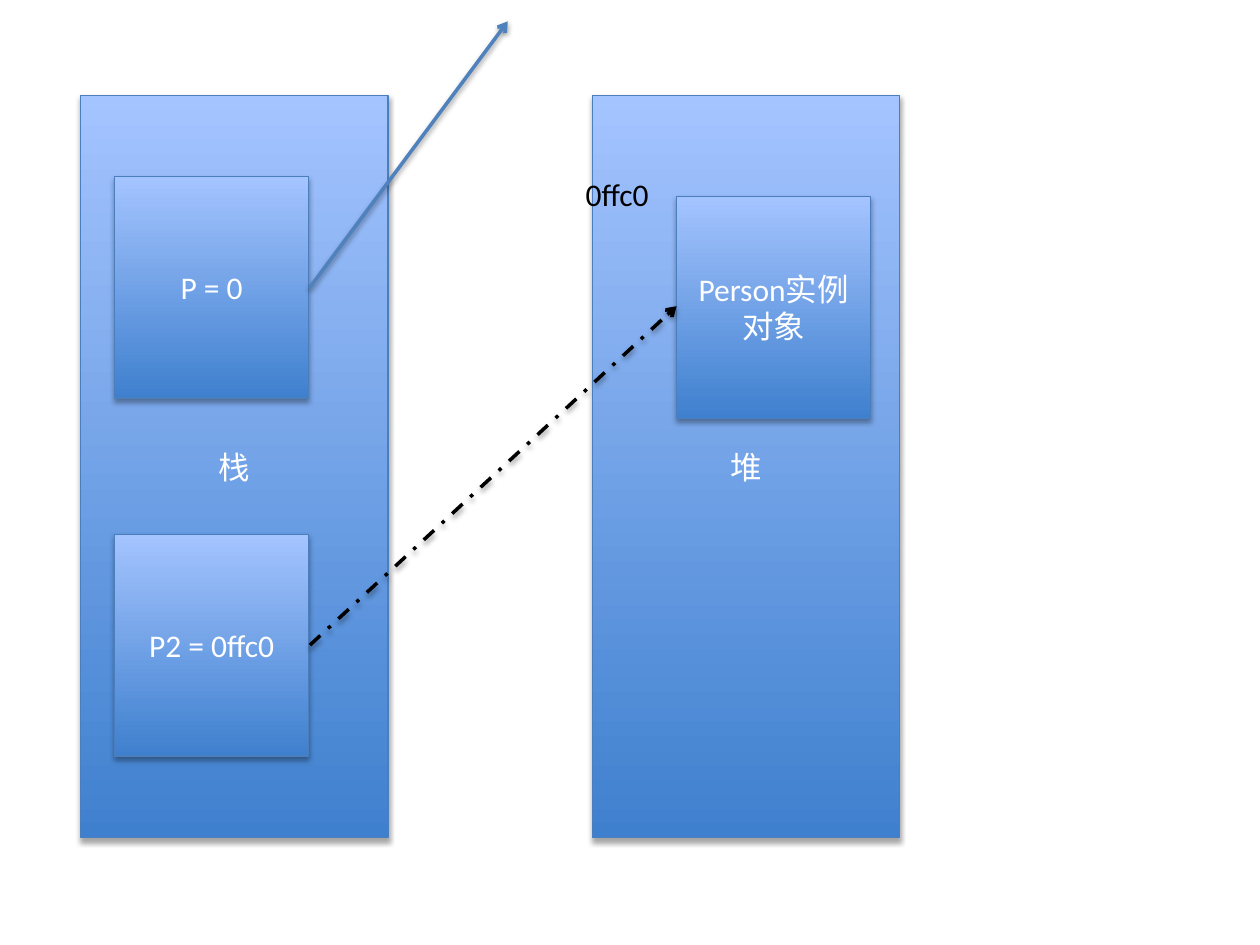
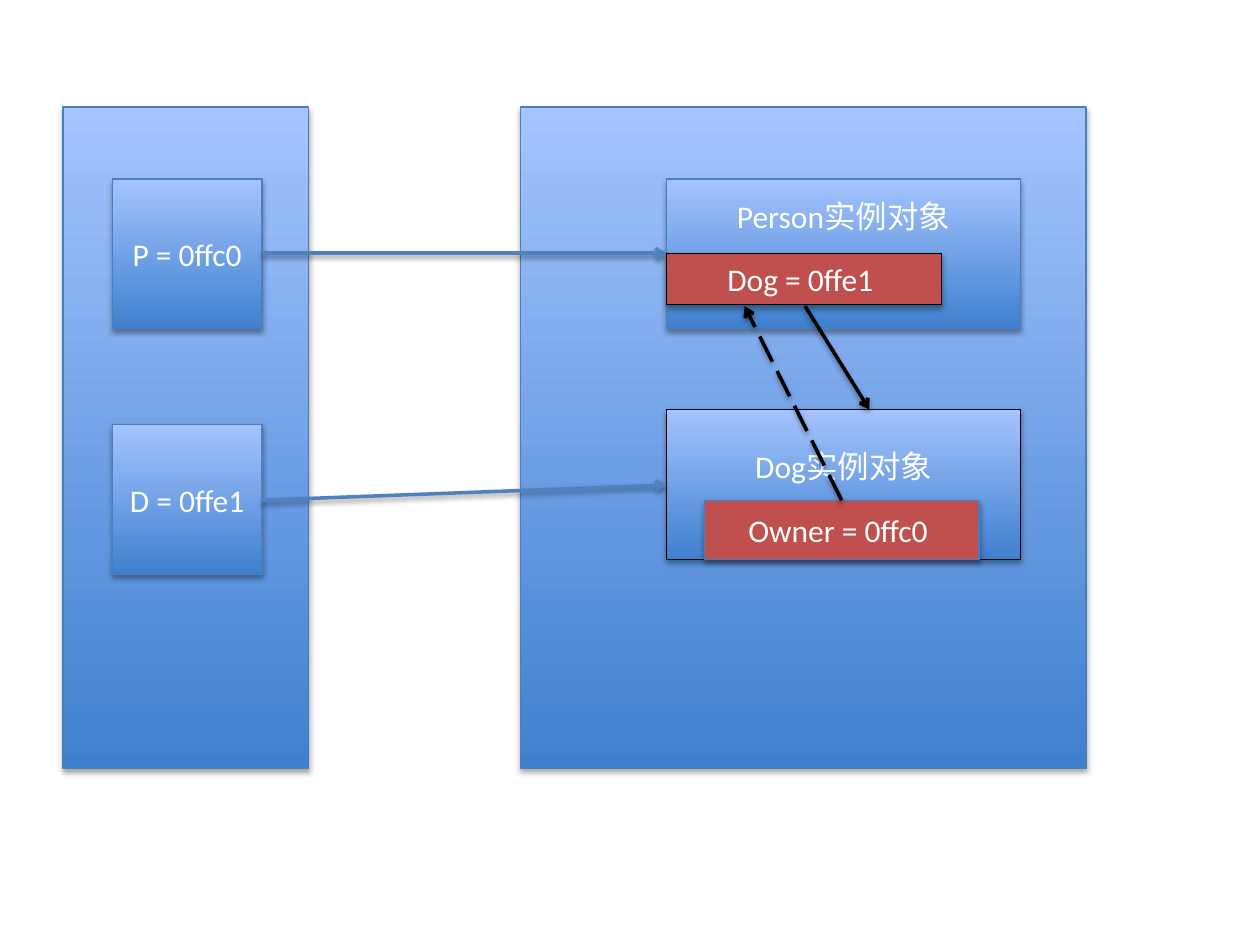
from lxml import etree
from pptx import Presentation
from pptx import util as u
from pptx.dml.color import RGBColor
from pptx.enum import dml, shapes, text
from pptx.oxml import ns

WHITE = RGBColor(0xFF, 0xFF, 0xFF)
BLACK = RGBColor(0, 0, 0)
DEEP = RGBColor(0x3F, 0x80, 0xCE)
PALE = RGBColor(0xA4, 0xC4, 0xFF)
EDGE = RGBColor(0x4B, 0x7E, 0xBC)
BLUE = RGBColor(0x4F, 0x81, 0xBD)
RED = RGBColor(0xC0, 0x50, 0x4D)
FONT = {"name": "Calibri", "size": u.Pt(18)}


def put(obj, vals):
    """Set each attribute in vals on obj."""
    for key, val in vals.items():
        setattr(obj, key, val)


def sub(node, tag, **vals):
    """Append a DrawingML child to node."""
    return etree.SubElement(node, ns.qn("a:" + tag), vals)


def shade(item, alpha, dist):
    """Give item a soft shadow that falls straight down."""
    props = item._element.spPr
    effect = props.find(ns.qn("a:effectLst"))
    if effect is None:
        effect = sub(props, "effectLst")
    drop = sub(effect, "outerShdw", blurRad=str(u.Pt(3.1)), dist=str(u.Pt(dist)),
               dir="5400000", rotWithShape="0")
    color = sub(drop, "srgbClr", val=str(BLACK))
    sub(color, "alpha", val=str(alpha * 1000))


def write(frame, words, color):
    """Write one run of text in the shared font."""
    run = frame.paragraphs[0].add_run()
    run.text = words
    put(run.font, FONT)
    run.font.color.rgb = color


def box(slide, area, words="", fill=None, edge=EDGE, foot=0.05):
    """Draw a block, with a gradient unless a fill is given."""
    block = slide.shapes.add_shape(shapes.MSO_SHAPE.RECTANGLE, *map(u.Inches, area))
    block.shadow.inherit = False
    if fill is None:
        block.fill.gradient()
        block.fill.gradient_angle = 90
        for stop, color in zip(block.fill.gradient_stops, (DEEP, PALE)):
            stop.color.rgb = color
    else:
        block.fill.solid()
        block.fill.fore_color.rgb = fill
    block.line.color.rgb = edge
    block.line.width = u.Pt(0.75)
    shade(block, 35, 1.8)
    if words:
        frame = block.text_frame
        put(frame, {"word_wrap": True, "margin_bottom": u.Inches(foot),
                    "vertical_anchor": text.MSO_ANCHOR.MIDDLE})
        frame.paragraphs[0].alignment = text.PP_ALIGN.CENTER
        write(frame, words, WHITE)


def arrow(slide, start, end, color=BLUE, dash=None):
    """Draw a straight arrow from start to end."""
    link = slide.shapes.add_connector(shapes.MSO_CONNECTOR.STRAIGHT,
                                      *map(u.Inches, start + end))
    link.line.color.rgb = color
    put(link.line, {"width": u.Pt(2), "dash_style": dash})
    sub(link.line._get_or_add_ln(), "tailEnd", type="arrow")
    shade(link, 38, 1.6)


def label(slide, area, words):
    """Place a line of plain text."""
    note = slide.shapes.add_textbox(*map(u.Inches, area))
    put(note.text_frame, {"word_wrap": False,
                          "auto_size": text.MSO_AUTO_SIZE.SHAPE_TO_FIT_TEXT})
    write(note.text_frame, words, BLACK)


def release(slide):
    """Show a cleared pointer and a second one to the same object."""
    for left, words in ((0.64, "栈"), (4.7, "堆")):
        box(slide, (left, 0.76, 2.44, 5.89), words)
    cell = (1.54, 1.76)
    box(slide, (5.37, 1.56) + cell, "Person实例对象")
    box(slide, (0.91, 1.4) + cell, "P = 0")
    arrow(slide, (2.46, 2.28), (4.03, 0.17))
    label(slide, (4.55, 1.34, 0.71, 0.4), "0ffc0")
    box(slide, (0.91, 4.24) + cell, "P2 = 0ffc0")
    arrow(slide, (2.46, 5.12), (5.37, 2.43), BLACK, dml.MSO_LINE.DASH_DOT)


def cycle(slide):
    """Show two objects that refer to each other."""
    for left, width in ((0.5, 1.95), (4.13, 4.49)):
        box(slide, (left, 0.85, width, 5.25))
    for top, words in ((1.42, "P = 0ffc0"), (3.37, "D = 0ffe1")):
        box(slide, (0.89, top, 1.19, 1.19), words)
    box(slide, (5.29, 1.42, 2.81, 1.19), "Person实例对象", foot=0.65)
    box(slide, (5.29, 3.25, 2.81, 1.19), "Dog实例对象", edge=BLACK, foot=0.35)
    for start, end in ((2.01, 2.01), (3.97, 3.85)):
        arrow(slide, (2.08, start), (5.29, end))
    box(slide, (5.29, 2.01, 2.18, 0.41), "Dog = 0ffe1 ", RED, BLACK)
    arrow(slide, (6.39, 2.43), (6.9, 3.25), BLACK)
    box(slide, (5.59, 3.97, 2.18, 0.47), "Owner = 0ffc0 ", RED)
    arrow(slide, (6.68, 3.97), (5.91, 2.43), BLACK, dml.MSO_LINE.LONG_DASH)


def main():
    """Build and save the deck."""
    deck = Presentation()
    put(deck, {"slide_width": u.Inches(10), "slide_height": u.Inches(7.5)})
    for draw in (release, cycle):
        draw(deck.slides.add_slide(deck.slide_layouts[6]))
    deck.save("out.pptx")


if __name__ == "__main__":
    main()
